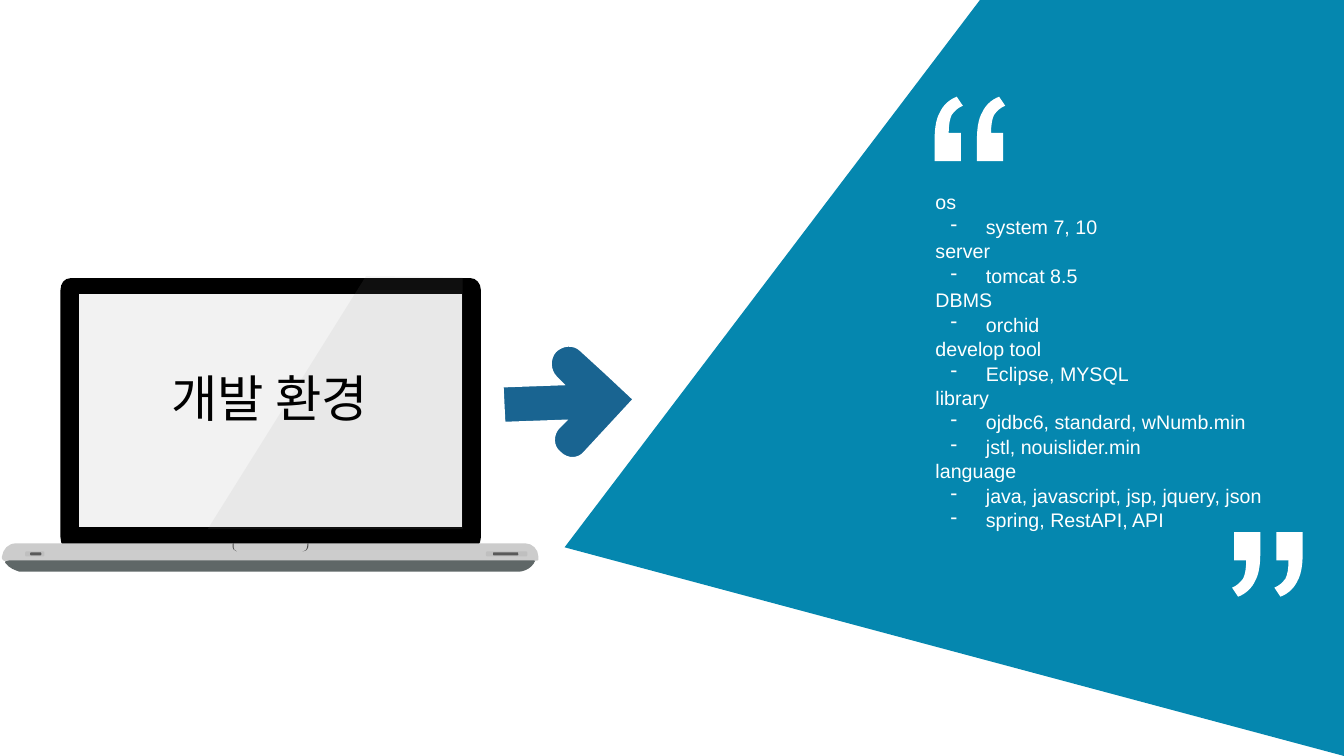
from lxml.etree import SubElement
from pptx import Presentation
from pptx.dml.color import RGBColor
from pptx.enum.shapes import MSO_SHAPE
from pptx.enum.text import MSO_ANCHOR, PP_ALIGN
from pptx.oxml.ns import qn
from pptx.util import Inches, Pt

WHITE = RGBColor(0xFF, 0xFF, 0xFF)
BLACK = RGBColor(0x00, 0x00, 0x00)
TEAL = RGBColor(0x05, 0x87, 0xAF)
ARROW_BLUE = RGBColor(0x19, 0x64, 0x91)
BASE_DARK = RGBColor(0x5F, 0x67, 0x67)
BASE_LIGHT = RGBColor(0xCC, 0xCC, 0xCC)
SCREEN = RGBColor(0xF2, 0xF2, 0xF2)
HINGE = RGBColor(0x4D, 0x4D, 0x4D)
PORT_RIM = RGBColor(0xBF, 0xBF, 0xBF)
PORT = RGBColor(0x59, 0x59, 0x59)
GLARE = RGBColor(0x99, 0x99, 0x99)

COLUMN = ROW = Inches(1)

PANEL = "M 13.33 7.5 L 5.6 5.43 L 9.72 0 L 13.33 0"
QUOTE = ("M .22 0 L .28 .09 C .23 .11 .2 .14 .17 .18 C .15 .22 .14 .28 .14 .36 "
         "L .26 .36 L .26 .64 L 0 .64 L 0 .42 C 0 .3 .02 .21 .05 .16 C .08 .09 .14 .03 .22 0")
LAPTOP = [
    ("M 5.16 5.67 C 5.16 5.67 5.27 5.66 5.31 5.56 C 5.31 5.54 5.29 5.52 5.26 5.52 "
     "L .1 5.53 C .08 5.53 .05 5.55 .05 5.58 C .09 5.64 .16 5.66 .19 5.67", BASE_DARK),
    ("M 4.77 5.33 C 4.77 5.4 4.72 5.46 4.67 5.46 L .7 5.46 C .64 5.46 .6 5.4 .6 5.33 "
     "L .6 2.88 C .6 2.81 .64 2.76 .7 2.76 L 4.67 2.76 C 4.72 2.76 4.77 2.81 4.77 2.88", BLACK),
    ("M .78 2.92 L 4.58 2.92 L 4.58 5.23 L .78 5.23", SCREEN),
    ("M .16 5.39 L 5.21 5.39 C 5.28 5.39 5.34 5.45 5.34 5.52 L 5.34 5.55 "
     "C 5.34 5.55 5.35 5.57 5.29 5.56 L .09 5.56 C .05 5.57 .03 5.57 .02 5.54 "
     "L .02 5.52 C .03 5.45 .08 5.39 .16 5.39", BASE_LIGHT),
    ("M 3.05 5.39 L 3.06 5.39 C 3.06 5.46 3.03 5.47 3.01 5.47 L 3 5.47 L 3.01 5.47 "
     "C 3.03 5.47 3.05 5.45 3.05 5.39 M 2.31 5.39 L 2.32 5.39 "
     "C 2.32 5.39 2.3 5.46 2.35 5.47 C 2.29 5.46 2.31 5.39 2.31 5.39", HINGE),
]
PORTS = [
    (0.25, 5.47, 0.19, 0.05, PORT_RIM), (0.3, 5.48, 0.11, 0.03, PORT),
    (4.82, 5.47, 0.41, 0.05, PORT_RIM), (4.89, 5.48, 0.25, 0.03, PORT),
]
REFLECTION = "M 3.63 2.74 L 4.59 2.75 L 4.59 5.25 L 2.06 5.25"
ARROW = ("M 6.32 3.96 L 5.82 4.5 C 5.75 4.59 5.62 4.59 5.54 4.51 C 5.45 4.44 5.45 4.31 5.52 4.23 "
         "L 5.55 4.2 L 4.98 4.22 L 4.96 3.81 L 5.53 3.79 L 5.5 3.76 "
         "C 5.42 3.68 5.42 3.55 5.49 3.47 C 5.57 3.39 5.7 3.38 5.78 3.46 L 6.02 3.68")
ENVIRONMENT = {
    "os": ["system 7, 10"],
    "server": ["tomcat 8.5"],
    "DBMS": ["orchid"],
    "develop tool": ["Eclipse, MYSQL"],
    "library": ["ojdbc6, standard, wNumb.min", "jstl, nouislider.min"],
    "language": ["java, javascript, jsp, jquery, json", "spring, RestAPI, API"],
}


def assign(target, values):
    for name, value in values.items():
        setattr(target, name, value)


def steps(outline, left=0, top=0, direction=1):
    result = []
    for piece in outline.replace("M", "|M").replace("L", "|L").replace("C", "|C").split("|")[1:]:
        command, *numbers = piece.split()
        values = [direction * float(number) for number in numbers]
        result.append((command, [(round((left + x) * COLUMN), round((top + y) * ROW))
                                 for x, y in zip(values[::2], values[1::2])]))
    return result


def bend(shape, outline_steps):
    lines = iter(list(shape.element.iter(qn("a:lnTo"))))
    for command, points in outline_steps:
        if command == "L":
            next(lines)
        elif command == "C":
            corners = [next(lines) for point in points]
            parent = corners[0].getparent()
            curve = parent.makeelement(qn("a:cubicBezTo"))
            corners[0].addprevious(curve)
            for corner in corners:
                curve.append(corner[0])
                parent.remove(corner)


class SlideArtist:
    font = {"name": "Arial", "size": Pt(14)}

    def __init__(self, page):
        self.page = page
        self.shapes = page.shapes

    def place(self, left, top, width, height):
        return {"left": round(left * COLUMN), "top": round(top * ROW),
                "width": round(width * COLUMN), "height": round(height * ROW)}

    def paint(self, shape, color, border=None):
        shape.shadow.inherit = False
        shape.fill.solid()
        shape.fill.fore_color.rgb = color
        if border:
            shape.line.color.rgb = border
            shape.line.width = Pt(5)
            SubElement(shape.element.spPr.find(qn("a:ln")), qn("a:miter"), lim="800000")
        else:
            shape.line.fill.background()

    def outline(self, outline_steps, color, border=None):
        contours = []
        for command, points in outline_steps:
            if command == "M":
                contours.append([])
            contours[-1].extend(points)
        builder = self.shapes.build_freeform(*contours[0][0])
        for index, points in enumerate(contours):
            if index:
                builder.move_to(*points[0])
            builder.add_line_segments(points[1:], close=True)
        shape = builder.convert_to_shape()
        bend(shape, outline_steps)
        self.paint(shape, color, border)
        return shape

    def quotes(self, left, top, direction):
        self.outline([step for shift in (0.42, 0)
                      for step in steps(QUOTE, left + direction * shift, top, direction)], WHITE)

    def port(self, left, top, width, height, color):
        shape = self.shapes.add_shape(
            MSO_SHAPE.ROUNDED_RECTANGLE, **self.place(left, top, width, height))
        shape.adjustments[0] = 0.28
        self.paint(shape, color)

    def laptop(self):
        self.shapes = self.page.shapes.add_group_shape().shapes
        for outline, color in LAPTOP:
            self.outline(steps(outline), color)
        for port in PORTS:
            self.port(*port)
        glare = self.outline(steps(REFLECTION), GLARE)
        tint = glare.element.spPr.find(qn("a:solidFill"))[0]
        SubElement(tint, qn("a:alpha"), val="10000")
        self.shapes = self.page.shapes

    def title(self, text, *area):
        box = self.page.shapes.title
        assign(box, self.place(*area))
        box.element.getparent().append(box.element)
        assign(box.text_frame, {
            "text": text, "word_wrap": True, "vertical_anchor": MSO_ANCHOR.MIDDLE,
            "margin_top": Inches(0.1), "margin_bottom": Inches(0.4)})
        para = box.text_frame.paragraphs[0]
        para.alignment = PP_ALIGN.CENTER
        assign(para.font, {**self.font, "size": Pt(36)})
        para.font.color.rgb = BLACK

    def listing(self, groups, *area):
        frame = self.shapes.add_textbox(**self.place(*area)).text_frame
        frame.word_wrap = True
        lines = [(text, level) for heading, items in groups.items()
                 for text, level in [(heading, 0), *((item, 1) for item in items)]]
        for index, (text, level) in enumerate(lines):
            para = frame.add_paragraph() if index else frame.paragraphs[0]
            para.line_spacing = 1.04
            if level:
                properties = para._p.get_or_add_pPr()
                properties.set("marL", str(Inches(0.5)))
                properties.set("indent", str(Inches(-0.35)))
                SubElement(properties, qn("a:buChar"), char="-")
            span = para.add_run()
            span.text = text
            assign(span.font, self.font)
            span.font.color.rgb = WHITE


def main():
    deck = Presentation()
    assign(deck, {"slide_width": Inches(13.33), "slide_height": Inches(7.5)})
    artist = SlideArtist(deck.slides.add_slide(deck.slide_layouts[5]))
    artist.outline(steps(PANEL), TEAL)
    artist.listing(ENVIRONMENT, 9.18, 1.83, 3.61, 3.64)
    artist.quotes(9.27, 0.96, 1)
    artist.quotes(12.92, 5.92, -1)
    artist.laptop()
    artist.title("개발 환경", 0.8, 2.95, 3.75, 2.28)
    artist.outline(steps(ARROW), ARROW_BLUE, WHITE)
    deck.save("out.pptx")


if __name__ == "__main__":
    main()
